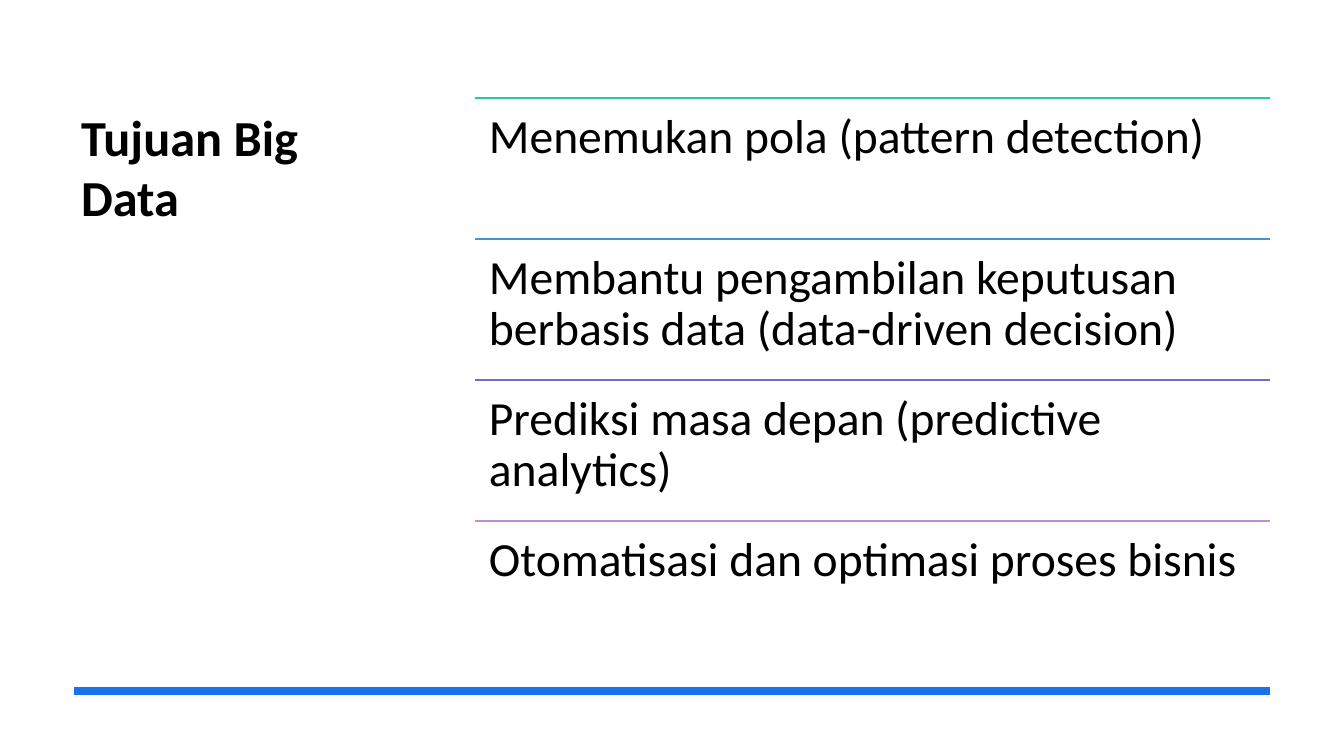
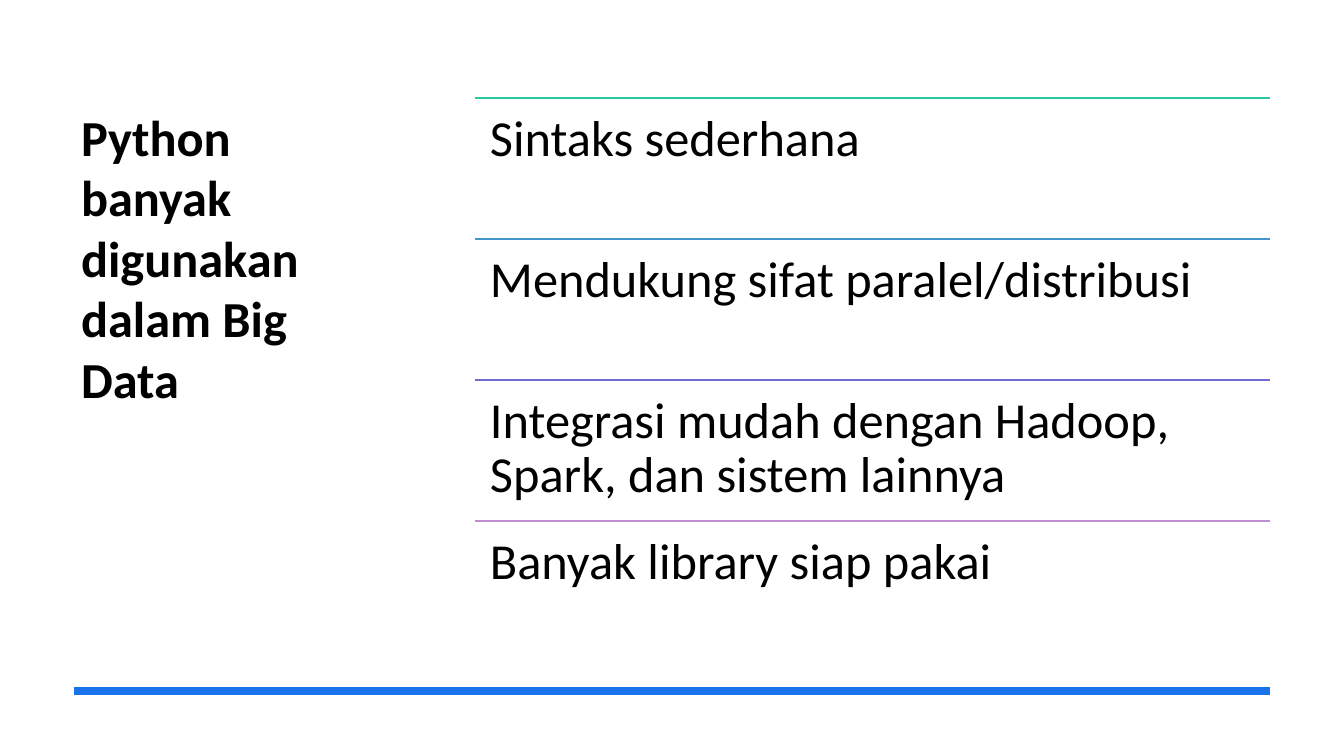
from lxml.etree import SubElement
from pptx import Presentation
from pptx.dml.color import RGBColor
from pptx.enum.shapes import MSO_CONNECTOR
from pptx.enum.text import MSO_ANCHOR, MSO_AUTO_SIZE, PP_ALIGN
from pptx.oxml.ns import qn
from pptx.util import Emu, Pt

FONT = "Calibri"
INK = "000000"
BLUE = "1973EB"
RULES = ["25C8A2", "4395D0", "726ACF", "BF8ED1"]
LEFT, RIGHT = 74, 1270
LIST_LEFT, LIST_TOP, STEP = 475, 98, 141
BAR_TOP = 691

SLIDES = [
    ("Tujuan Big Data", 34, [
        "Menemukan pola (pattern detection)",
        "Membantu pengambilan keputusan berbasis data (data-driven decision)",
        "Prediksi masa depan (predictive analytics)",
        "Otomatisasi dan optimasi proses bisnis",
    ]),
    ("Python banyak digunakan dalam Big Data", 36, [
        "Sintaks sederhana",
        "Mendukung sifat paralel/distribusi",
        "Integrasi mudah dengan Hadoop, Spark, dan sistem lainnya",
        "Banyak library siap pakai",
    ]),
]


def px(count):
    """Turn pixels into EMU."""
    return Emu(round(count * 914400 / 100.8))


def color(code):
    """Turn a hex string into a colour."""
    return RGBColor.from_string(code)


def place(shape, left, top, width, height):
    """Move and size a shape."""
    shape.left, shape.top = px(left), px(top)
    shape.width, shape.height = px(width), px(height)


def write(frame, text, size, bold=False, inset=None):
    """Fill a text frame with one left-aligned run."""
    frame.word_wrap = True
    frame.auto_size = MSO_AUTO_SIZE.NONE
    frame.vertical_anchor = MSO_ANCHOR.TOP
    if inset is not None:
        frame.margin_left = frame.margin_right = px(inset)
        frame.margin_top = frame.margin_bottom = px(inset)
    para = frame.paragraphs[0]
    para.alignment = PP_ALIGN.LEFT
    run = para.add_run()
    run.text = text
    run.font.name = FONT
    run.font.size = Pt(size)
    run.font.bold = bold
    run.font.color.rgb = color(INK)
    return para


def rule(slide, left, top, code, weight):
    """Draw a level line to the right margin."""
    line = slide.shapes.add_connector(
        MSO_CONNECTOR.STRAIGHT, px(left), px(top), px(RIGHT), px(top))
    line.line.color.rgb = color(code)
    line.line.width = Pt(weight)
    SubElement(line._element.spPr, qn("a:effectLst"))


def item(slide, top, text, size, code):
    """Add one list entry under its coloured line."""
    rule(slide, LIST_LEFT, top, code, 1)
    box = slide.shapes.add_textbox(
        px(LIST_LEFT), px(top), px(RIGHT - LIST_LEFT), px(STEP))
    para = write(box.text_frame, text, size, inset=round(size * 0.42))
    para.line_spacing = 0.9


def build(deck, title, size, items):
    """Add a slide with a title, a ruled list and a bottom bar."""
    slide = deck.slides.add_slide(deck.slide_layouts[5])
    head = slide.shapes.title
    place(head, 71, 101, 330, 459)
    write(head.text_frame, title, 36, bold=True)
    rule(slide, LEFT, BAR_TOP, BLUE, 6)
    for row, (text, code) in enumerate(zip(items, RULES)):
        item(slide, LIST_TOP + row * STEP, text, size, code)


def main():
    """Build and save the deck."""
    deck = Presentation()
    deck.slide_width, deck.slide_height = px(1344), px(756)
    for title, size, items in SLIDES:
        build(deck, title, size, items)
    deck.save("out.pptx")


if __name__ == "__main__":
    main()
